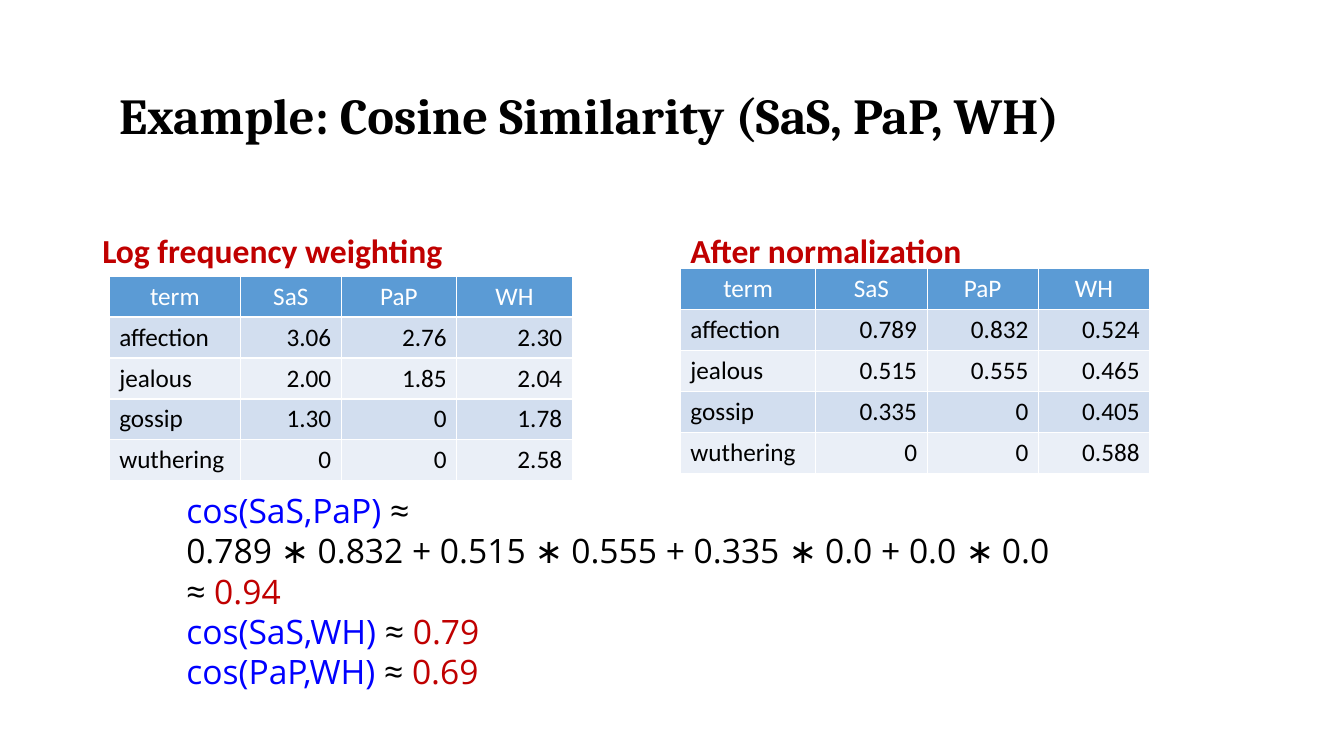
from pptx import Presentation
from pptx import util as u
from pptx.dml.color import RGBColor
from pptx.enum import text

PX = 9525
COLORS = {
    "black": "000000",
    "white": "FFFFFF",
    "red": "C00000",
    "blue": "0000FF",
    "header": "5B9BD5",
    "odd": "D2DEEF",
    "even": "EAEFF7",
}
ROW_HEIGHT = 39
TERMS = ("affection", "jealous", "gossip", "wuthering")
NOVELS = ("SaS", "PaP", "WH")
LOG_WEIGHTS = (
    ("3.06", "2.76", "2.30"),
    ("2.00", "1.85", "2.04"),
    ("1.30", "0", "1.78"),
    ("0", "0", "2.58"),
)
NORMALIZED = (
    ("0.789", "0.832", "0.524"),
    ("0.515", "0.555", "0.465"),
    ("0.335", "0", "0.405"),
    ("0", "0", "0.588"),
)
COSINES = (
    (("cos(SaS,PaP) ", "blue"), ("≈", "black")),
    (("0.789 ∗ 0.832 + 0.515 ∗ 0.555 + 0.335 ∗ 0.0 + 0.0 ∗ 0.0", "black"),),
    (("≈ ", "black"), ("0.94", "red")),
    (("cos(SaS,WH)", "blue"), (" ≈ ", "black"), ("0.79", "red")),
    (("cos(PaP,WH) ", "blue"), ("≈ ", "black"), ("0.69", "red")),
)


def color(name):
    """Return the named colour."""
    return RGBColor.from_string(COLORS[name])


def set_font(font, name, size, shade, bold=False):
    """Set the face, size, colour and weight of a font."""
    font.name, font.size, font.bold = name, u.Pt(size), bold
    font.color.rgb = color(shade)


def add_box(slide, box):
    """Add an empty text box at left, top, width, height."""
    return slide.shapes.add_textbox(*(length * PX for length in box)).text_frame


def add_heading(slide, box, words, anchor, face, size, shade):
    """Add a bold one-line heading."""
    frame = add_box(slide, box)
    frame.word_wrap = True
    frame.vertical_anchor = anchor
    paragraph = frame.paragraphs[0]
    paragraph.text = words
    paragraph.line_spacing = 0.9
    set_font(paragraph.font, face, size, shade, True)


def add_weights(slide, left, top, widths, weights):
    """Add a table of term weights for each novel."""
    rows = [("term", *NOVELS)] + [(term, *row) for term, row in zip(TERMS, weights)]
    table = slide.shapes.add_table(
        len(rows), len(widths), left * PX, top * PX,
        sum(widths) * PX, len(rows) * ROW_HEIGHT * PX,
    ).table
    for column, width in zip(table.columns, widths):
        column.width = width * PX
    for r, row in enumerate(rows):
        fill = "header" if r == 0 else "odd" if r % 2 else "even"
        for c, value in enumerate(row):
            cell = table.cell(r, c)
            cell.fill.solid()
            cell.fill.fore_color.rgb = color(fill)
            paragraph = cell.text_frame.paragraphs[0]
            paragraph.text = value
            if r == 0:
                paragraph.alignment = text.PP_ALIGN.CENTER
            elif c > 0:
                paragraph.alignment = text.PP_ALIGN.RIGHT
            set_font(paragraph.font, "Calibri", 18, "black" if r else "white")


def add_panel(slide, box, title, table_left, table_top, widths, weights):
    """Add a headed table; table offsets are relative to the heading box."""
    add_heading(slide, box, title, text.MSO_ANCHOR.BOTTOM, "Calibri", 24, "red")
    add_weights(slide, box[0] + table_left, box[1] + table_top, widths, weights)


def add_cosines(slide, box):
    """Add the worked cosine similarities."""
    frame = add_box(slide, box)
    frame.word_wrap = False
    frame.auto_size = text.MSO_AUTO_SIZE.SHAPE_TO_FIT_TEXT
    for i, line in enumerate(COSINES):
        paragraph = frame.add_paragraph() if i else frame.paragraphs[0]
        paragraph.line_spacing = u.Pt(28.8)
        for words, shade in line:
            run = paragraph.add_run()
            run.text = words
            set_font(run.font, "Open Sans", 24, shade)


def main():
    """Build and save the slide."""
    presentation = Presentation()
    presentation.slide_width, presentation.slide_height = 1280 * PX, 720 * PX
    slide = presentation.slides.add_slide(presentation.slide_layouts[6])
    add_panel(slide, (88, 177, 541, 86), "Log frequency weighting",
              16, 86, (125, 96, 110, 110), LOG_WEIGHTS)
    add_panel(slide, (648, 177, 544, 86), "After normalization",
              0, 79, (129, 106, 106, 106), NORMALIZED)
    add_cosines(slide, (168, 462, 899, 204))
    add_heading(slide, (104, 52, 1101, 122), "Example: Cosine Similarity (SaS, PaP, WH)",
                text.MSO_ANCHOR.MIDDLE, "Cambria", 36, "black")
    presentation.save("out.pptx")


if __name__ == "__main__":
    main()
